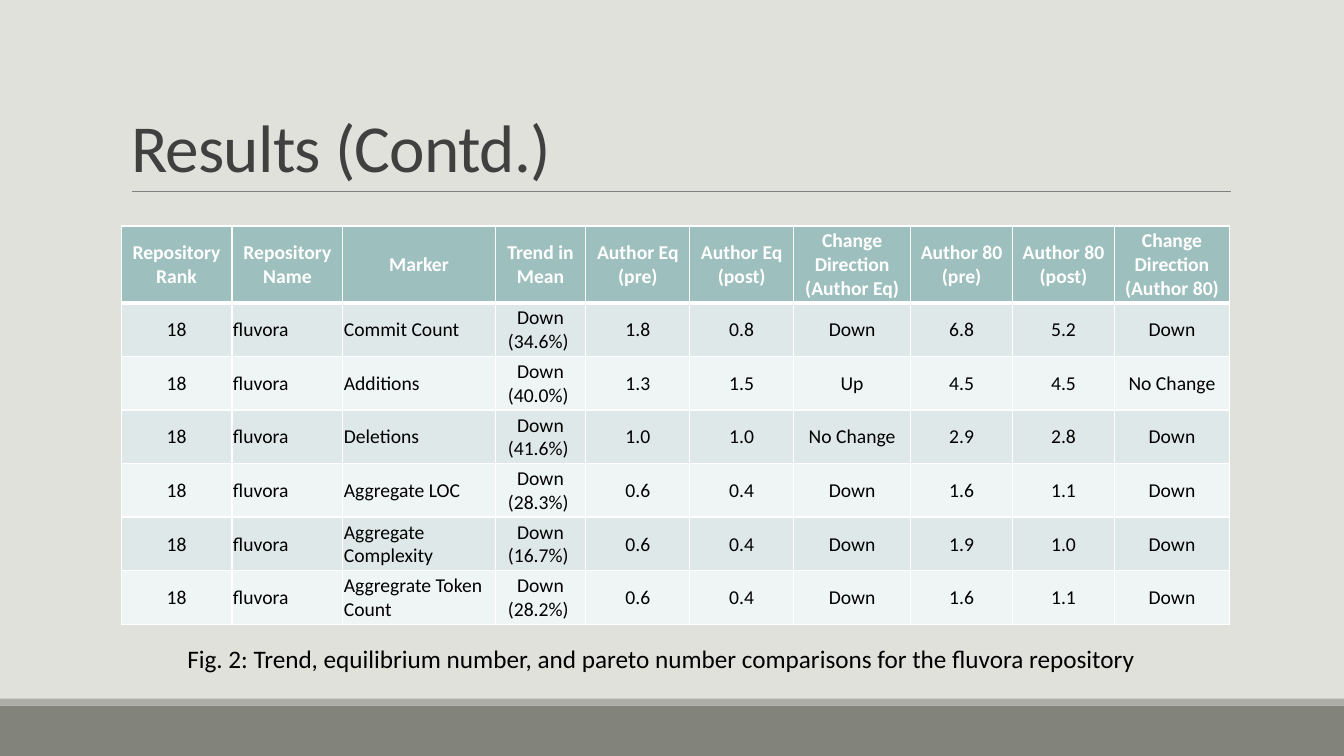
from copy import deepcopy

from lxml import etree
from pptx import Presentation
from pptx.dml.color import RGBColor
from pptx.enum.shapes import MSO_CONNECTOR, MSO_SHAPE
from pptx.enum.text import MSO_ANCHOR, PP_ALIGN
from pptx.oxml.ns import qn
from pptx.util import Pt

RECTANGLE = MSO_SHAPE.RECTANGLE
STRAIGHT = MSO_CONNECTOR.STRAIGHT
LEFT, CENTER = PP_ALIGN.LEFT, PP_ALIGN.CENTER
TOP, MIDDLE, BOTTOM = MSO_ANCHOR.TOP, MSO_ANCHOR.MIDDLE, MSO_ANCHOR.BOTTOM

COLORS = {
    "background": "E1E1DB",
    "footer": "82847C",
    "footer_edge": "ACADA8",
    "rule": "808080",
    "title": "404040",
    "text": "000000",
    "white": "FFFFFF",
    "header": "9DBFBE",
    "odd_row": "DFE8E8",
    "even_row": "EFF4F4",
}

COLUMN_WIDTHS = [79.2, 79.2, 108.8, 64.8, 74.2, 74.2, 83.6, 72.8, 72.8, 82.2]
HEADER_HEIGHT, ROW_HEIGHT = 54.9, 38.25
LEFT_COLUMNS = (1, 2)
REPOSITORY = "fluvora"
HEADERS = [
    "Repository\nRank", "Repository Name", "Marker", "Trend in Mean",
    "Author Eq (pre)", "Author Eq (post)", "Change Direction\n(Author Eq)",
    "Author 80 (pre)", "Author 80 (post)", "Change Direction\n(Author 80)",
]
RESULTS = [
    ["Commit Count", "Down (34.6%) ", "1.8", "0.8", "Down", "6.8", "5.2", "Down"],
    ["Additions", "Down (40.0%) ", "1.3", "1.5", "Up", "4.5", "4.5", "No Change"],
    ["Deletions", "Down (41.6%) ", "1.0", "1.0", "No Change", "2.9", "2.8", "Down"],
    ["Aggregate LOC", "Down (28.3%) ", "0.6", "0.4", "Down", "1.6", "1.1", "Down"],
    ["Aggregate Complexity", "Down (16.7%) ", "0.6", "0.4", "Down", "1.9", "1.0", "Down"],
    ["Aggregrate Token Count", "Down (28.2%) ", "0.6", "0.4", "Down", "1.6", "1.1", "Down"],
]


def color(name):
    return RGBColor.from_string(COLORS[name])


def write_text(text_frame, text, font="Calibri", size=14, text_color="text", bold=False,
               align=LEFT, line_spacing=None, tracking=None):
    text_frame.word_wrap = True
    paragraph = text_frame.paragraphs[0]
    paragraph.text = text.replace("\n", "\v")
    paragraph.alignment = align
    if line_spacing:
        paragraph.line_spacing = line_spacing
    for run in paragraph.runs:
        run.font.name = font
        run.font.size = Pt(size)
        run.font.bold = bold
        run.font.color.rgb = color(text_color)
        if tracking:
            run.font._element.set("spc", str(round(tracking * 100)))
    for line_break in paragraph._p.findall(qn("a:br")):
        line_break.insert(0, deepcopy(paragraph.runs[0].font._element))


class SlideBuilder:
    def __init__(self, presentation, font):
        self.font = font
        self.slide = presentation.slides.add_slide(presentation.slide_layouts[6])
        self.slide.background.fill.solid()
        self.slide.background.fill.fore_color.rgb = color("background")

    def bar(self, left, top, width, height, fill):
        shape = self.slide.shapes.add_shape(RECTANGLE, Pt(left), Pt(top), Pt(width), Pt(height))
        shape.shadow.inherit = False
        shape.fill.solid()
        shape.fill.fore_color.rgb = color(fill)
        shape.line.fill.background()

    def rule(self, left, right, top, width):
        connector = self.slide.shapes.add_connector(
            STRAIGHT, Pt(left), Pt(top), Pt(right), Pt(top))
        connector.line.color.rgb = color("rule")
        connector.line.width = Pt(width)
        etree.SubElement(connector._element.spPr, qn("a:effectLst"))

    def text(self, left, top, width, height, text, anchor=TOP, **text_format):
        shape = self.slide.shapes.add_textbox(Pt(left), Pt(top), Pt(width), Pt(height))
        shape.text_frame.vertical_anchor = anchor
        write_text(shape.text_frame, text, font=self.font, **text_format)

    def border(self, cell, bottom_width):
        properties = cell._tc.get_or_add_tcPr()
        widths = {"a:lnL": 1, "a:lnR": 1, "a:lnT": 1, "a:lnB": bottom_width}
        for position, (side, width) in enumerate(widths.items()):
            line = etree.Element(qn(side), w=str(Pt(width)))
            fill = etree.SubElement(line, qn("a:solidFill"))
            etree.SubElement(fill, qn("a:srgbClr"), val=COLORS["white"])
            properties.insert(position, line)

    def cell(self, cell, text, fill, bottom_width=1, **text_format):
        cell.margin_left = cell.margin_right = cell.margin_top = Pt(0.7)
        cell.margin_bottom = 0
        cell.vertical_anchor = MIDDLE
        cell.fill.solid()
        cell.fill.fore_color.rgb = color(fill)
        self.border(cell, bottom_width)
        write_text(cell.text_frame, text, font=self.font, **text_format)

    def table(self, left, top, headers, rows):
        height = HEADER_HEIGHT + ROW_HEIGHT * len(rows)
        table = self.slide.shapes.add_table(
            len(rows) + 1, len(headers), Pt(left), Pt(top),
            Pt(sum(COLUMN_WIDTHS)), Pt(height)).table
        table.horz_banding = False
        for column, width in zip(table.columns, COLUMN_WIDTHS):
            column.width = Pt(width)
        for index, row in enumerate(table.rows):
            row.height = Pt(ROW_HEIGHT if index else HEADER_HEIGHT)
        for index, header in enumerate(headers):
            self.cell(table.cell(0, index), header, "header", bottom_width=3,
                      text_color="white", bold=True, align=CENTER)
        for row_index, row in enumerate(rows, 1):
            fill = "odd_row" if row_index % 2 else "even_row"
            for index, value in enumerate(row):
                self.cell(table.cell(row_index, index), value, fill,
                          align=LEFT if index in LEFT_COLUMNS else CENTER)


def main():
    presentation = Presentation()
    presentation.slide_width, presentation.slide_height = Pt(960), Pt(540)
    builder = SlideBuilder(presentation, "Calibri")
    builder.bar(0, 504, 960, 36, "footer")
    builder.bar(0, 499, 960, 5, "footer_edge")
    builder.rule(94.3, 879, 136.5, 0.5)
    builder.text(86.6, 22.3, 792, 114.5, "Results (Contd.)", anchor=BOTTOM, size=48,
                 text_color="title", line_spacing=0.85, tracking=-0.5)
    builder.table(86.5, 161.5, HEADERS, [["18", REPOSITORY, *result] for result in RESULTS])
    builder.text(126.7, 456.2, 712, 29, "Fig. 2: Trend, equilibrium number, and pareto number "
                 f"comparisons for the {REPOSITORY} repository", size=18)
    presentation.save("out.pptx")


if __name__ == "__main__":
    main()
